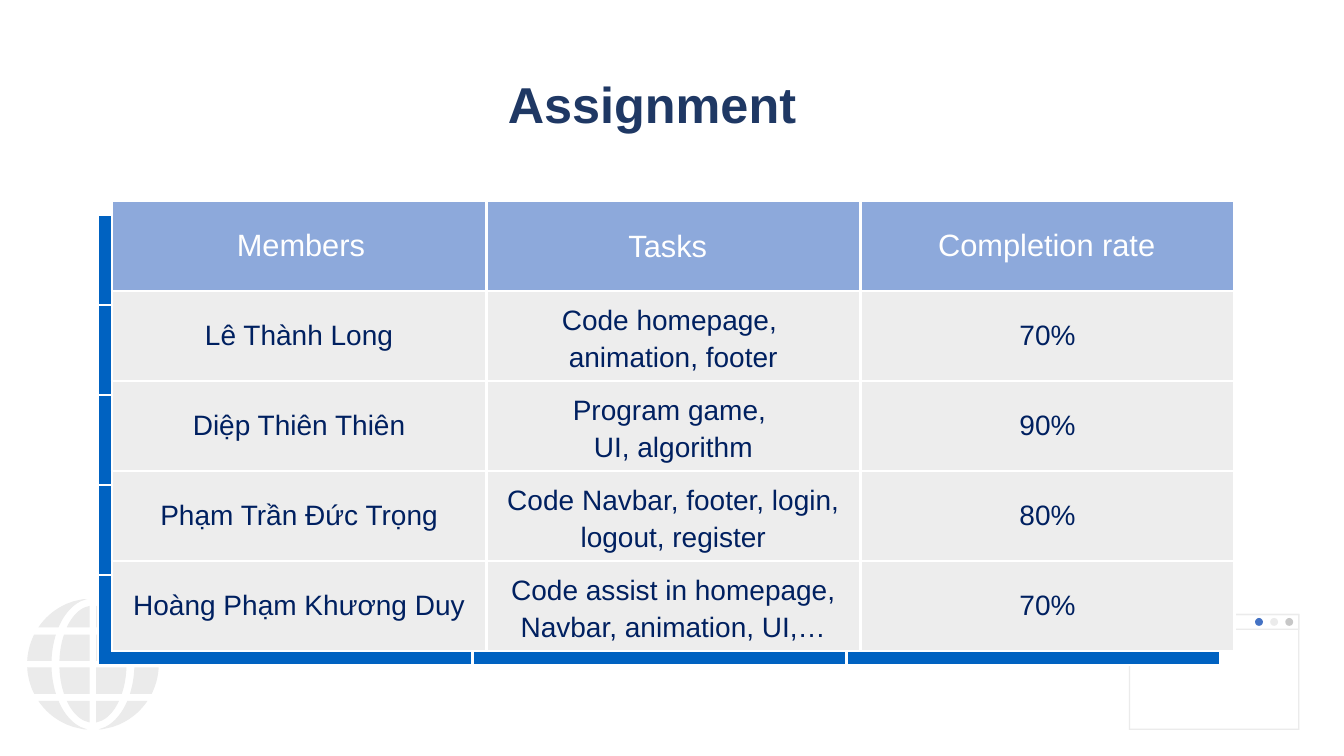
"""Build the team assignment slide."""
from math import sqrt

from lxml import etree
from pptx import Presentation
from pptx.dml.color import RGBColor
from pptx.enum.shapes import MSO_SHAPE
from pptx.enum.text import MSO_ANCHOR, PP_ALIGN
from pptx.oxml.ns import qn
from pptx.util import Pt

FRAME, OVAL = MSO_SHAPE.FRAME, MSO_SHAPE.OVAL
CENTER = PP_ALIGN.CENTER
TOP, MIDDLE = MSO_ANCHOR.TOP, MSO_ANCHOR.MIDDLE

WHITE = RGBColor(0xFF, 0xFF, 0xFF)
PALE = RGBColor(0xEB, 0xEB, 0xEB)
GREY = RGBColor(0xC7, 0xC7, 0xC7)
DOT_BLUE = RGBColor(0x44, 0x72, 0xC4)
BACKING_BLUE = RGBColor(0x00, 0x62, 0xC1)
HEADER_BLUE = RGBColor(0x8D, 0xA9, 0xDB)
ROW_GREY = RGBColor(0xED, 0xED, 0xED)
NAVY = RGBColor(0x00, 0x20, 0x60)
TITLE_NAVY = RGBColor(0x1F, 0x38, 0x64)
FONT = "Arial"

COLUMNS = 3
ASSIGNMENTS = [
    ("Lê Thành Long", "Code homepage, \nanimation, footer", "70%"),
    ("Diệp Thiên Thiên", "Program game, \nUI, algorithm", "90%"),
    ("Phạm Trần Đức Trọng", "Code Navbar, footer, login, logout, register", "80%"),
    ("Hoàng Phạm Khương Duy", "Code assist in homepage, Navbar, animation, UI,…", "70%"),
]
HEADINGS = [
    ("Members", (146.2, 157.7, 137.5, 33.8), TOP),
    ("Tasks", (390.2, 158.4, 173.5, 33.8), MIDDLE),
    ("Completion rate", (635, 157.7, 225.4, 33.8), TOP),
]


def paint(shape, color):
    """Give a shape a flat fill without line or shadow."""
    shape.fill.solid()
    shape.fill.fore_color.rgb = color
    shape.line.fill.background()
    shape.shadow.inherit = False


def write(frame, text, size, color, bold=False, spacing=None):
    """Fill a text frame with centred paragraphs in one style."""
    frame.text = text
    for paragraph in frame.paragraphs:
        paragraph.alignment = CENTER
        paragraph.line_spacing = spacing
        for run in paragraph.runs:
            font = run.font
            font.name, font.size, font.bold = FONT, Pt(size), bold
            font.color.rgb = color


def add_label(slide, box, text, size, color, anchor, **style):
    """Place a wrapped line of text in the box."""
    frame = slide.shapes.add_textbox(*map(Pt, box)).text_frame
    frame.word_wrap = True
    frame.vertical_anchor = anchor
    write(frame, text, size, color, **style)


def meridian(width, height):
    """Return the half-width of an ellipse as a function of the height."""
    return lambda y: width * sqrt(max(0, 1 - (y / height) ** 2))


def add_globe(slide, box):
    """Draw a globe cut into panels by meridians and parallels."""
    left, top, size = box
    radius = size / 2
    center_x, center_y = left + radius, top + radius
    gap = 0.05 * radius
    inner_edge = meridian(0.51 * radius, 0.89 * radius)
    columns = [
        (lambda y: gap, lambda y: max(gap, inner_edge(y)), 0.885 * radius),
        (meridian(0.63 * radius, radius), meridian(radius, radius), 0.99 * radius),
    ]
    bands = [(gap, 0.45 * radius), (0.56 * radius, radius)]
    steps = 12
    for near_edge, far_edge, limit in columns:
        for start, end in bands:
            end = min(end, limit)
            heights = [start + (end - start) * i / steps for i in range(steps + 1)]
            outline = [(near_edge(y), y) for y in heights]
            outline += [(far_edge(y), y) for y in reversed(heights)]
            for side_x, side_y in [(-1, -1), (-1, 1), (1, -1), (1, 1)]:
                points = [(Pt(center_x + side_x * x), Pt(center_y + side_y * y))
                          for x, y in outline]
                builder = slide.shapes.build_freeform(*points[0])
                builder.add_line_segments(points[1:])
                paint(builder.convert_to_shape(), PALE)


def add_browser_window(slide, box):
    """Draw a thin window outline with a title bar and three dots."""
    left, top, width, height = box
    bar, thickness, dot, pitch = 11.5, 0.9, 5.6, 10.8
    for frame_height in (height, bar):
        outline = slide.shapes.add_shape(
            FRAME, Pt(left), Pt(top), Pt(width), Pt(frame_height))
        outline.adjustments[0] = thickness / frame_height
        paint(outline, PALE)
    first_dot = left + width - 31.6
    for i, color in enumerate((DOT_BLUE, PALE, GREY)):
        paint(slide.shapes.add_shape(
            OVAL, Pt(first_dot + i * pitch), Pt(top + (bar - dot) / 2),
            Pt(dot), Pt(dot)), color)


def style_cell(cell, color):
    """Fill a cell and give it white borders."""
    properties = cell._tc.get_or_add_tcPr()
    for side in ("a:lnL", "a:lnR", "a:lnT", "a:lnB"):
        border = etree.SubElement(properties, qn(side), w=str(Pt(2.25)))
        fill = etree.SubElement(border, qn("a:solidFill"))
        etree.SubElement(fill, qn("a:srgbClr"), val=str(WHITE))
    cell.fill.solid()
    cell.fill.fore_color.rgb = color
    cell.vertical_anchor = MIDDLE


def add_grid(slide, box, header_color, body_color):
    """Add an even table with a coloured header row and return it."""
    rows = len(ASSIGNMENTS) + 1
    left, top, width, height = box
    table = slide.shapes.add_table(rows, COLUMNS, *map(Pt, box)).table
    table.first_row = table.horz_banding = False
    for column in table.columns:
        column.width = Pt(width / COLUMNS)
    for index, row in enumerate(table.rows):
        row.height = Pt(height / rows)
        for cell in row.cells:
            style_cell(cell, body_color if index else header_color)
    return table


def add_assignments(slide, box):
    """Add the assignment table over its offset blue backing."""
    left, top, width, height = box
    add_grid(slide, (left - 10, top + 10, width, height), BACKING_BLUE, BACKING_BLUE)
    table = add_grid(slide, box, HEADER_BLUE, ROW_GREY)
    for row, assignment in enumerate(ASSIGNMENTS, 1):
        for column, text in enumerate(assignment):
            write(table.cell(row, column).text_frame, text, 20, NAVY,
                  spacing=1.2 if column == 1 else None)


def main():
    """Build and save the slide."""
    deck = Presentation()
    deck.slide_width, deck.slide_height = Pt(960), Pt(540)
    slide = deck.slides.add_slide(deck.slide_layouts[6])
    add_globe(slide, (19.4, 427.4, 94))
    add_browser_window(slide, (806.4, 438.5, 121.7, 82.8))
    add_assignments(slide, (80, 143.5, 802, 321.5))
    add_label(slide, (244, 24.5, 443.5, 104.4), "Assignment", 36, TITLE_NAVY,
              MIDDLE, bold=True, spacing=0.9)
    for text, box, anchor in HEADINGS:
        add_label(slide, box, text, 22, WHITE, anchor)
    deck.save("out.pptx")


if __name__ == "__main__":
    main()
